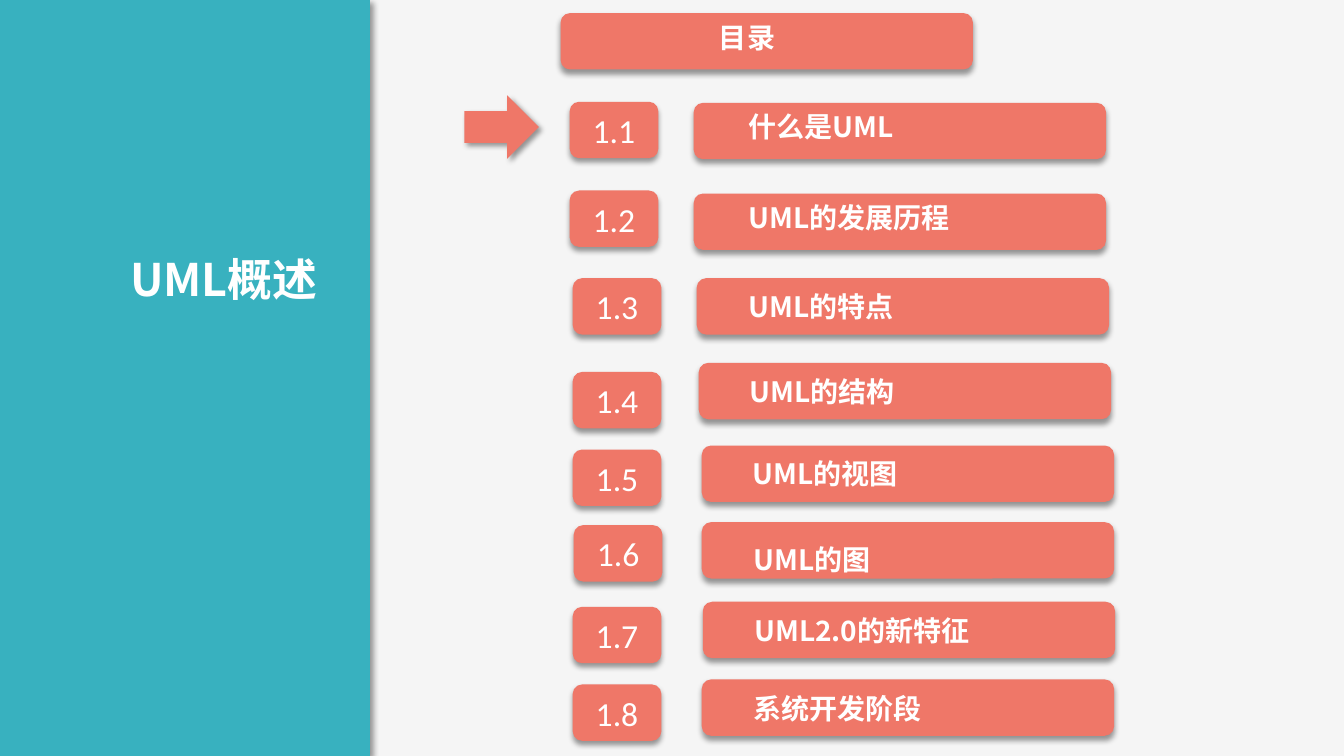
from lxml import etree
from pptx import Presentation
from pptx import util as u
from pptx.dml.color import RGBColor
from pptx.enum import shapes, text
from pptx.oxml.ns import qn

PX = 9144  # 100 px to the inch
COLORS = {"paper": "F5F5F5", "teal": "38B1BF", "coral": "EF7768",
          "white": "FFFFFF", "shadow": "000000"}
HEADING_FONT = "Noto Sans CJK SC"
BAR_W, BADGE_W, ROW_H = 409, 88, 56

prs = Presentation()
prs.slide_width, prs.slide_height = 1333 * PX, 750 * PX
slide = prs.slides.add_slide(prs.slide_layouts[6])
slide.background.fill.solid()
slide.background.fill.fore_color.rgb = RGBColor.from_string(COLORS["paper"])


def add_block(kind, x, y, w, h, color="coral", angle=90):
    """Add a borderless shape with a soft shadow falling at the given angle."""
    block = slide.shapes.add_shape(kind, x * PX, y * PX, w * PX, h * PX)
    block.fill.solid()
    block.fill.fore_color.rgb = RGBColor.from_string(COLORS[color])
    block.line.fill.background()
    block.shadow.inherit = False
    effects = block._element.spPr.find(qn("a:effectLst"))
    shadow = etree.SubElement(effects, qn("a:outerShdw"), blurRad=str(u.Pt(4)),
                              dist=str(u.Pt(3)), dir=str(angle * 60000),
                              algn="t", rotWithShape="0")
    tint = etree.SubElement(shadow, qn("a:srgbClr"), val=COLORS["shadow"])
    etree.SubElement(tint, qn("a:alpha"), val="40000")
    return block


def write(words, box=None, holder=None, size=20, font=HEADING_FONT, bold=True,
          align=text.PP_ALIGN.LEFT, anchor=text.MSO_ANCHOR.TOP):
    """Write white text into a holder, or into a new text box at box."""
    if holder is None:
        holder = slide.shapes.add_textbox(*(n * PX for n in box))
    frame = holder.text_frame
    frame.word_wrap = True
    frame.vertical_anchor = anchor
    frame.margin_left = frame.margin_right = 13 * PX
    frame.margin_top = frame.margin_bottom = 7 * PX
    paragraph = frame.paragraphs[0]
    paragraph.alignment = align
    run = paragraph.add_run()
    run.text = words
    run.font.size, run.font.bold, run.font.name = u.Pt(size), bold, font
    run.font.color.rgb = RGBColor.from_string(COLORS["white"])
    latin = run._r.rPr.find(qn("a:latin"))
    latin.addnext(latin.makeelement(qn("a:ea"), {"typeface": font}))


# Side panel with the chapter title
add_block(shapes.MSO_SHAPE.RECTANGLE, -12, 0, 379, 750, color="teal", angle=45)
write("UML概述", box=(21, 243, 307, 67), size=32, align=text.PP_ALIGN.RIGHT)

# Contents heading
add_block(shapes.MSO_SHAPE.ROUNDED_RECTANGLE, 556, 13, BAR_W, ROW_H)
write("目录", box=(596, 13, 290, 47), align=text.PP_ALIGN.CENTER)

# Arrow marking the current section
current_arrow = add_block(shapes.MSO_SHAPE.DOWN_ARROW, 466, 89, 63, 74, angle=45)
current_arrow.rotation = 270

# Sections: title, badge x and y, bar x and y, title x and y
sections = [
    ("什么是UML", 565, 101, 688, 102, 729, 102),
    ("UML的发展历程", 565, 189, 688, 192, 729, 192),
    ("UML的特点", 568, 276, 691, 276, 729, 280),
    ("UML的结构", 568, 369, 693, 360, 730, 365),
    ("UML的视图", 568, 446, 696, 442, 733, 446),
    ("UML的图", 569, 521, 696, 518, 734, 531),
    ("UML2.0的新特征", 568, 602, 697, 597, 735, 602),
    ("系统开发阶段", 568, 679, 696, 674, 734, 679),
]
for number, (title, badge_x, badge_y, bar_x, bar_y, title_x, title_y) in enumerate(sections, 1):
    badge = add_block(shapes.MSO_SHAPE.ROUNDED_RECTANGLE, badge_x, badge_y, BADGE_W, ROW_H)
    write(f"1.{number}", holder=badge, size=24, font="Calibri", bold=False,
          align=text.PP_ALIGN.CENTER, anchor=text.MSO_ANCHOR.MIDDLE)
    add_block(shapes.MSO_SHAPE.ROUNDED_RECTANGLE, bar_x, bar_y, BAR_W, ROW_H)
    write(title, box=(title_x, title_y, 299, 47))

prs.save("out.pptx")
